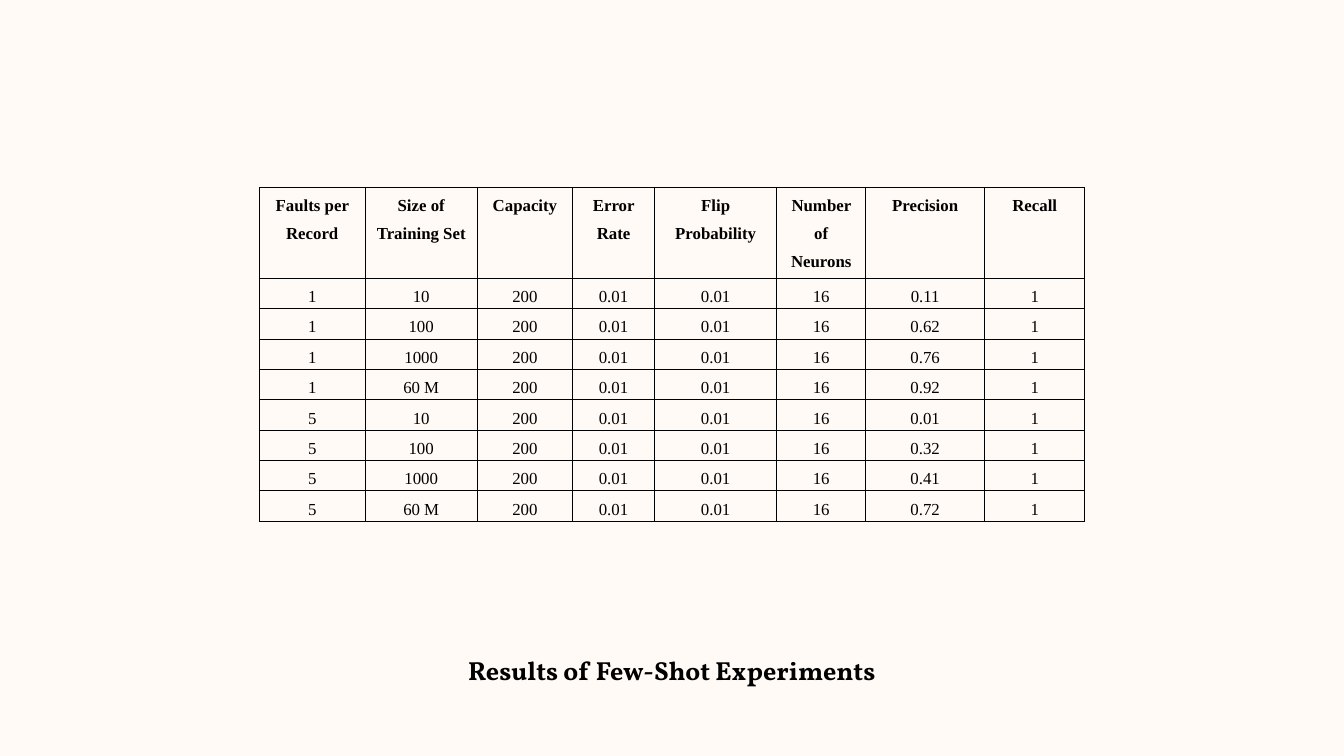
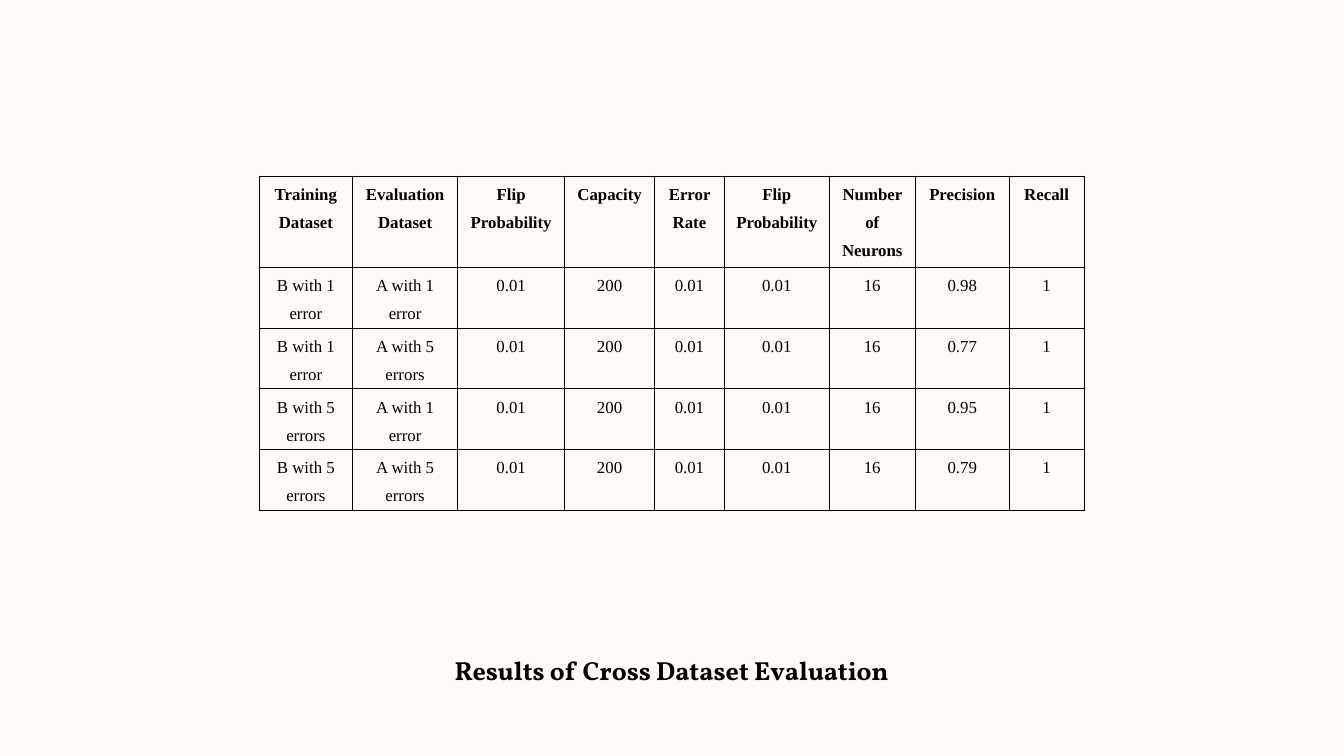
from lxml import etree
from pptx import Presentation
from pptx.dml.color import RGBColor
from pptx.enum.text import MSO_AUTO_SIZE, PP_ALIGN
from pptx.oxml.ns import qn
from pptx.util import Cm, Pt

CENTER = PP_ALIGN.CENTER
GROW = MSO_AUTO_SIZE.SHAPE_TO_FIT_TEXT
CREAM = RGBColor(0xFF, 0xFA, 0xF6)
BLACK = RGBColor(0x00, 0x00, 0x00)
TITLE_FONT = "Vollkorn"
TABLE_FONT = "Times New Roman"
PAD = Cm(0.25)
CELL_PAD = Cm(0.17)
HEAD_TALL = 1.72

FEW_HEAD = ["Faults per Record", "Size of Training Set", "Capacity", "Error Rate",
            "Flip Probability", "Number of Neurons", "Precision", "Recall"]
FEW_COLS = [2, 2.12, 1.8, 1.55, 2.31, 1.68, 2.25, 1.89]
FEW_SCORES = [
    ("1", "10", "0.11"),
    ("1", "100", "0.62"),
    ("1", "1000", "0.76"),
    ("1", "60 M", "0.92"),
    ("5", "10", "0.01"),
    ("5", "100", "0.32"),
    ("5", "1000", "0.41"),
    ("5", "60 M", "0.72"),
]

CROSS_HEAD = ["Training Dataset", "Evaluation Dataset", "Flip Probability", "Capacity",
              "Error Rate", "Flip Probability", "Number of Neurons", "Precision", "Recall"]
CROSS_COLS = [1.76, 1.99, 2.02, 1.7, 1.32, 1.98, 1.63, 1.77, 1.42]
CROSS_SCORES = [
    ("B with 1 error", "A with 1 error", "0.98"),
    ("B with 1 error", "A with 5 errors", "0.77"),
    ("B with 5 errors", "A with 1 error", "0.95"),
    ("B with 5 errors", "A with 5 errors", "0.79"),
]


def style(para, face, size, bold):
    """Centre a paragraph and set its font."""
    para.alignment = CENTER
    font = para.font
    font.name, font.size, font.bold = face, Pt(size), bold
    font.color.rgb = BLACK


def add_page(deck):
    """Add a blank slide with the cream background."""
    page = deck.slides.add_slide(deck.slide_layouts[6])
    fill = page.background.fill
    fill.solid()
    fill.fore_color.rgb = CREAM
    return page


def add_title(page, text, tall):
    """Add the bold title under the table."""
    box = page.shapes.add_textbox(Cm(4.5), Cm(12.12), Cm(16.4), Cm(tall))
    frame = box.text_frame
    frame.word_wrap = True
    frame.auto_size = GROW
    frame.margin_left = frame.margin_right = PAD
    frame.margin_top = frame.margin_bottom = PAD
    frame.text = text
    style(frame.paragraphs[0], TITLE_FONT, 14, True)


def add_border(cell):
    """Draw a thin black line on all four sides of a cell."""
    props = cell._tc.get_or_add_tcPr()
    for side in ("lnL", "lnR", "lnT", "lnB"):
        line = etree.SubElement(props, qn(f"a:{side}"), w=str(Pt(0.5)))
        fill = etree.SubElement(line, qn("a:solidFill"))
        etree.SubElement(fill, qn("a:srgbClr"), val=str(BLACK))


def fill_cell(cell, text, bold):
    """Write one table cell with its padding and border."""
    cell.margin_left = cell.margin_right = CELL_PAD
    cell.margin_top = cell.margin_bottom = 0
    cell.text = text
    para = cell.text_frame.paragraphs[0]
    style(para, TABLE_FONT, 9, bold)
    para.line_spacing = 1.5
    add_border(cell)
    cell.fill.background()


def add_grid(page, top, widths, tall, rows):
    """Add a table whose first row is a bold header."""
    heights = [HEAD_TALL] + [tall] * (len(rows) - 1)
    grid = page.shapes.add_table(len(rows), len(widths), Cm(4.9), Cm(top),
                                 Cm(sum(widths)), Cm(sum(heights))).table
    grid.first_row = grid.horz_banding = False
    for col, width in zip(grid.columns, widths):
        col.width = Cm(width)
    for i, (row, height) in enumerate(zip(grid.rows, heights)):
        row.height = Cm(height)
        for cell, text in zip(row.cells, rows[i]):
            fill_cell(cell, text, i == 0)


def main():
    """Build both result slides and save the deck."""
    deck = Presentation()
    deck.slide_width, deck.slide_height = Cm(25.4), Cm(14.29)

    few = [[fault, size, "200", "0.01", "0.01", "16", score, "1"]
           for fault, size, score in FEW_SCORES]
    page = add_page(deck)
    add_title(page, "Results of Few-Shot Experiments", 1.7)
    add_grid(page, 3.54, FEW_COLS, 0.57, [FEW_HEAD] + few)

    cross = [[train, test, "0.01", "200", "0.01", "0.01", "16", score, "1"]
             for train, test, score in CROSS_SCORES]
    page = add_page(deck)
    add_title(page, "Results of Cross Dataset Evaluation", 1.12)
    add_grid(page, 3.33, CROSS_COLS, 1.15, [CROSS_HEAD] + cross)

    deck.save("out.pptx")


if __name__ == "__main__":
    main()
